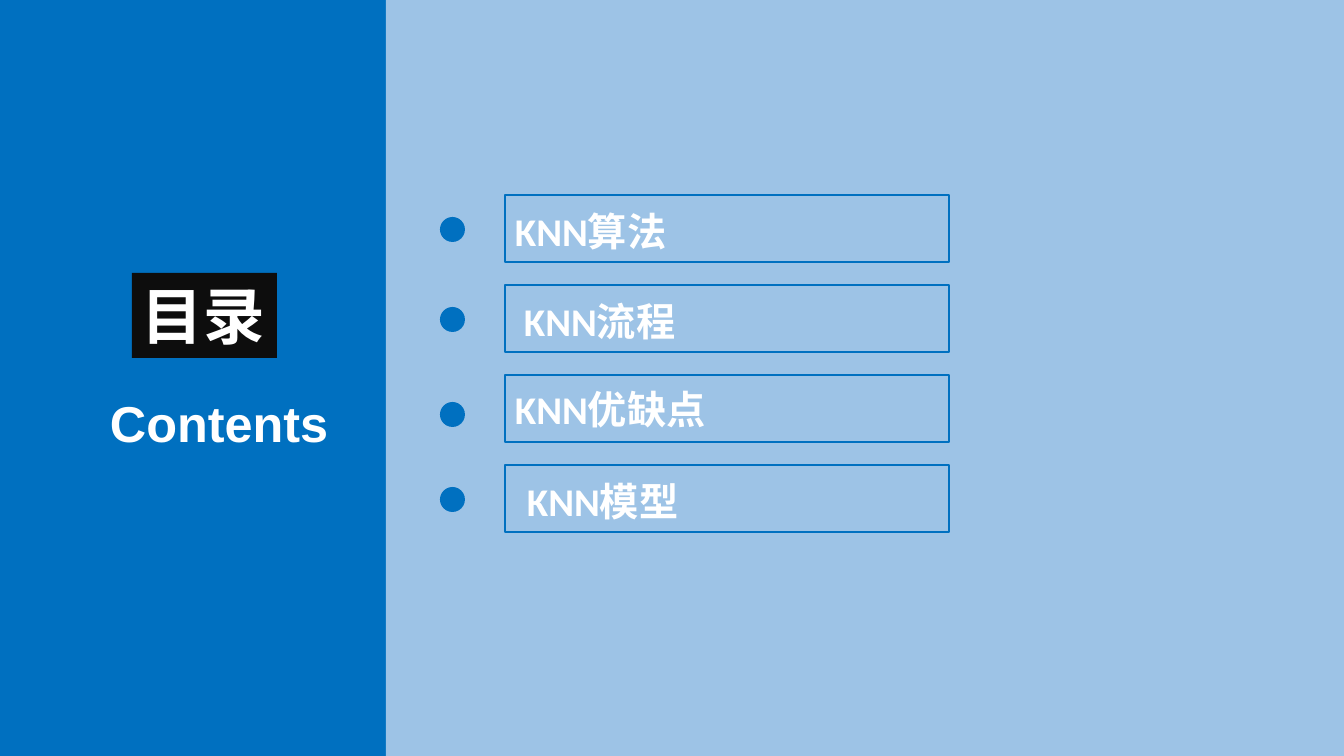
"""Build the contents slide of a KNN lecture."""
from collections import namedtuple

from lxml.etree import SubElement
from pptx import Presentation
from pptx.dml.color import RGBColor
from pptx.enum.shapes import MSO_SHAPE as Preset
from pptx.enum.text import MSO_ANCHOR as Anchor, PP_ALIGN as Align
from pptx.oxml.ns import qn
from pptx.util import Emu, Pt

Entry = namedtuple("Entry", "label indent dot_drop spaced")
ENTRIES = [
    Entry("KNN算法", 0, 22, True),
    Entry("KNN流程", 9, 22, True),
    Entry("KNN优缺点", 0, 27, False),
    Entry("KNN模型", 12, 22, True),
]
TITLE, SUBTITLE = "目录", "Contents"

THEME = {
    "blue": "0070C0", "pale": "9DC3E6", "black": "0D0D0D", "white": "FFFFFF",
    "title": 44, "subtitle": 36, "entry": 28,
    "latin": "Calibri", "sans": "Arial", "cjk": "Noto Sans CJK SC",
}
PAGE_W, PAGE_H, PANEL_W = 1344, 756, 386
ENTRY_X, ENTRY_Y, ENTRY_W, ENTRY_H, PITCH = 505, 195, 444, 67, 90
DOT_X, DOT_SIZE, INSET = 440, 25, 10


def px(length):
    return Emu(round(length * 914400 / 100.8))


def colour(name):
    return RGBColor.from_string(THEME[name])


def add_block(page, preset, area, fill):
    block = page.shapes.add_shape(preset, *map(px, area))
    block.shadow.inherit = False
    block.fill.solid()
    block.fill.fore_color.rgb = colour(fill)
    block.line.fill.background()
    return block


def write(box, text, size, font, wrap=False):
    frame = box.text_frame
    frame.text = text
    frame.word_wrap = wrap
    frame.vertical_anchor = Anchor.MIDDLE if wrap else Anchor.TOP
    para = frame.paragraphs[0]
    para.alignment = Align.LEFT
    span = para.runs[0]
    span.font.size = Pt(THEME[size])
    span.font.bold = True
    span.font.name = THEME[font]
    span.font.color.rgb = colour("white")
    SubElement(span.font._element, qn("a:ea"), typeface=THEME["cjk"])
    return para


def add_entry(page, row, entry):
    top = ENTRY_Y + row * PITCH
    add_block(page, Preset.OVAL,
              (DOT_X, top + entry.dot_drop, DOT_SIZE, DOT_SIZE), "blue")
    box = add_block(page, Preset.RECTANGLE,
                    (ENTRY_X, top, ENTRY_W, ENTRY_H), "pale")
    tint = box._element.spPr.find(qn("a:solidFill"))[0]
    SubElement(tint, qn("a:alpha"), val="50000")
    box.line.color.rgb = colour("blue")
    box.line.width = Pt(1)
    para = write(box, entry.label, "entry", "latin", wrap=True)
    box.text_frame.margin_left = px(INSET + entry.indent)
    if entry.spaced:
        para.line_spacing = 1.1
        para.space_before = Pt(THEME["entry"] * 0.2)


def main():
    deck = Presentation()
    deck.slide_width, deck.slide_height = px(PAGE_W), px(PAGE_H)
    page = deck.slides.add_slide(deck.slide_layouts[6])

    add_block(page, Preset.RECTANGLE, (0, 0, PANEL_W, PAGE_H), "blue")
    add_block(page, Preset.RECTANGLE,
              (PANEL_W, 0, PAGE_W - PANEL_W, PAGE_H), "pale")

    subtitle = page.shapes.add_textbox(*map(px, (100, 387, 241, 72)))
    write(subtitle, SUBTITLE, "subtitle", "sans")
    title = add_block(page, Preset.RECTANGLE, (132, 273, 145, 85), "black")
    write(title, TITLE, "title", "cjk")

    for row, entry in enumerate(ENTRIES):
        add_entry(page, row, entry)
    deck.save("out.pptx")


if __name__ == "__main__":
    main()
